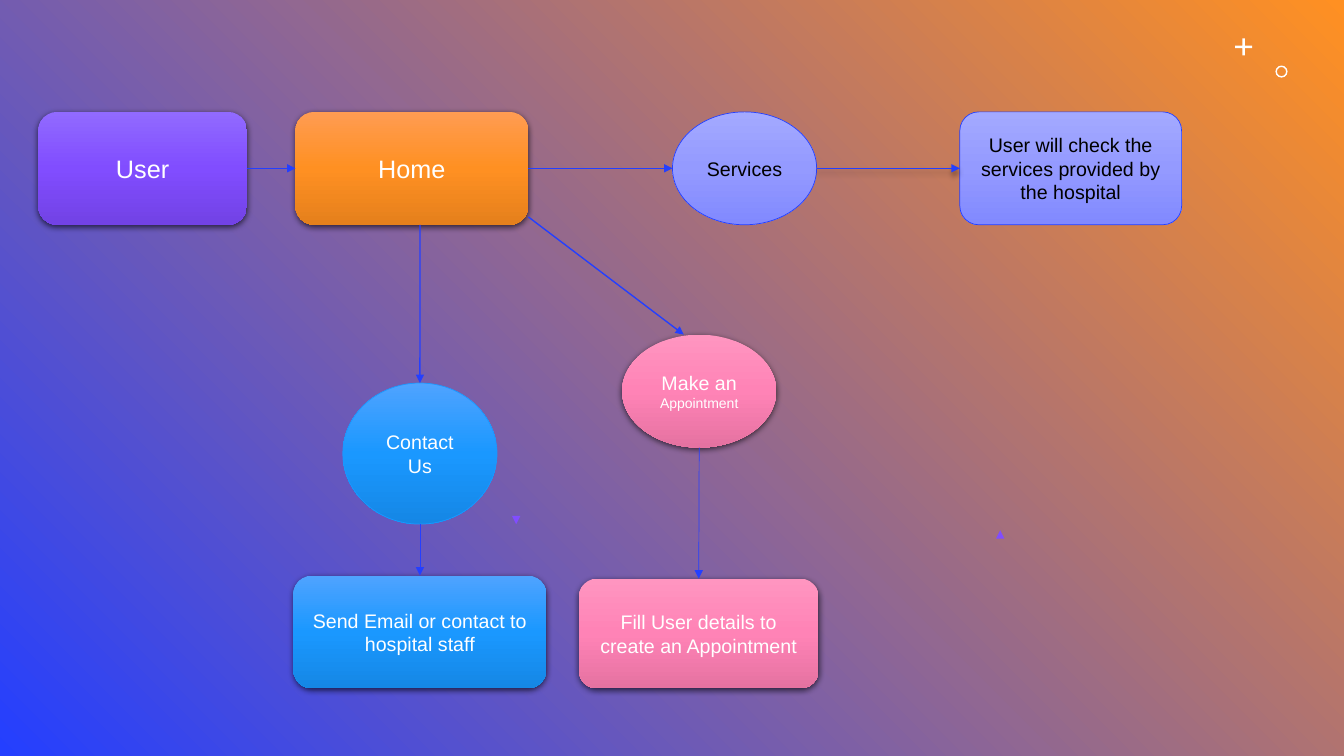
from copy import deepcopy

from lxml.etree import SubElement
from pptx import Presentation
from pptx.dml.color import RGBColor
from pptx.enum.shapes import MSO_CONNECTOR, MSO_SHAPE as Shape
from pptx.enum.text import MSO_ANCHOR, PP_ALIGN
from pptx.oxml.ns import qn
from pptx.util import Inches, Pt

FONT = "Arial"
WHITE, BLACK, BLUE, VIOLET = "FFFFFF", "000000", "243FFF", "814DFF"
BACKGROUND = (BLUE, "FF9022")
FILLS = {
    "violet": ("916AFF", VIOLET, "7242E5"),
    "orange": ("FF9C52", "FF9022", "E5801C"),
    "lilac": ("A3A9FF", "949AFF", "8189FF"),
    "blue": ("4FA3FF", "1A98FF", "1587E5"),
    "pink": ("FF95C0", "FF83B6", "E572A1"),
}
# Shadows: blur, distance (points), opacity (percent)
NODE_SHADOW = (4.5, 1.5, 63)
LINE_SHADOW = (4, 3, 40)

# name: (shape, (left, top, width, height), fill, outline or None, text colour, runs)
NODES = {
    "user": (Shape.ROUNDED_RECTANGLE, (0.38, 1.11, 2.07, 1.12), "violet", None, WHITE,
             [("User", 18)]),
    "home": (Shape.ROUNDED_RECTANGLE, (2.93, 1.11, 2.31, 1.12), "orange", None, WHITE,
             [("Home", 18)]),
    "services": (Shape.OVAL, (6.67, 1.11, 1.43, 1.12), "lilac", BLUE, BLACK,
                 [("Services", 14)]),
    "check": (Shape.ROUNDED_RECTANGLE, (9.52, 1.11, 2.2, 1.12), "lilac", BLUE, BLACK,
              [("User will check the services provided by the hospital", 14)]),
    "contact": (Shape.OVAL, (3.4, 3.8, 1.53, 1.4), "blue", "1A98FF", WHITE,
                [("Contact Us", 14)]),
    "appointment": (Shape.OVAL, (6.17, 3.32, 1.53, 1.12), "pink", None, WHITE,
                    [("Make an ", 14), ("Appointment", 10)]),
    "email": (Shape.ROUNDED_RECTANGLE, (2.91, 5.71, 2.51, 1.12), "blue", None, WHITE,
              [("Send Email or contact to hospital staff", 14)]),
    "details": (Shape.ROUNDED_RECTANGLE, (5.74, 5.74, 2.38, 1.09), "pink", None, WHITE,
                [("Fill User details to create an Appointment", 14)]),
}
LEFT, RIGHT, TOP, BOTTOM = (0, 0.5), (1, 0.5), (0.5, 0), (0.5, 1)
# (node, place on it as fractions of its size), same for the end, width, shadow
LINKS = [
    (("user", RIGHT), ("home", LEFT), 1, None),
    (("home", RIGHT), ("services", LEFT), 1, None),
    (("home", (0.535, 1)), ("contact", TOP), 1, None),
    (("home", (1, 0.93)), ("appointment", (0.4, 0)), 1, None),
    (("appointment", BOTTOM), ("details", TOP), 0.5, None),
    (("contact", BOTTOM), ("email", TOP), 0.5, None),
    (("services", RIGHT), ("check", LEFT), 0.5, LINE_SHADOW),
]
STRAY_ARROWS = [((5.12, 5.19), (5.12, 5.2)), ((9.92, 5.27), (9.92, 5.26))]
# shape, box, adjustment
ORNAMENTS = [
    (Shape.CROSS, (12.25, 0.38, 0.17, 0.17), 0.43),
    (Shape.DONUT, (12.65, 0.65, 0.12, 0.12), 0.12),
]


def rgb(value):
    return RGBColor.from_string(value)


def paint_gradient(fill, element, colors, angle):
    """Spread the colours evenly; the angle runs counter-clockwise."""
    fill.gradient()
    fill.gradient_angle = angle
    stop_list = next(element.iter(qn("a:gsLst")))
    while len(stop_list) < len(colors):
        stop_list.append(deepcopy(stop_list[0]))
    for i, (stop, color) in enumerate(zip(fill.gradient_stops, colors)):
        stop.color.rgb = rgb(color)
        stop.position = i / (len(colors) - 1)


def set_shadow(properties, shadow):
    effects = SubElement(properties, qn("a:effectLst"))
    if shadow:
        blur, distance, opacity = shadow
        outer = SubElement(effects, qn("a:outerShdw"), blurRad=str(Pt(blur)),
                           dist=str(Pt(distance)), dir="5400000", rotWithShape="0")
        color = SubElement(outer, qn("a:srgbClr"), val=BLACK)
        SubElement(color, qn("a:alpha"), val=str(opacity * 1000))


def add_node(slide, kind, box, fill, outline, text_color, runs):
    node = slide.shapes.add_shape(kind, *map(Inches, box))
    paint_gradient(node.fill, node._element.spPr, FILLS[fill], 270)
    if outline:
        node.line.color.rgb = rgb(outline)
        node.line.width = Pt(0.5)
    else:
        node.line.fill.background()
    set_shadow(node._element.spPr, None if outline else NODE_SHADOW)
    frame = node.text_frame
    frame.word_wrap = True
    frame.vertical_anchor = MSO_ANCHOR.MIDDLE
    para = frame.paragraphs[0]
    para.alignment = PP_ALIGN.CENTER
    for text, size in runs:
        span = para.add_run()
        span.text = text
        span.font.name = FONT
        span.font.size = Pt(size)
        span.font.color.rgb = rgb(text_color)


def add_arrow(slide, start, end, color, width, shadow=None):
    arrow = slide.shapes.add_connector(MSO_CONNECTOR.STRAIGHT, *map(Inches, start + end))
    arrow.line.color.rgb = rgb(color)
    arrow.line.width = Pt(width)
    SubElement(arrow.line._get_or_add_ln(), qn("a:tailEnd"), type="triangle")
    set_shadow(arrow._element.spPr, shadow)


def point_on(name, place):
    left, top, width, height = NODES[name][1]
    return left + width * place[0], top + height * place[1]


def add_ornament(slide, kind, box, adjustment):
    ornament = slide.shapes.add_shape(kind, *map(Inches, box))
    ornament.adjustments[0] = adjustment
    ornament.shadow.inherit = False
    ornament.fill.solid()
    ornament.fill.fore_color.rgb = rgb(WHITE)
    ornament.line.fill.background()


def main():
    deck = Presentation()
    deck.slide_width, deck.slide_height = Inches(13.33), Inches(7.5)
    slide = deck.slides.add_slide(deck.slide_layouts[6])
    paint_gradient(slide.background.fill, slide._element, BACKGROUND, 45)
    for ornament in ORNAMENTS:
        add_ornament(slide, *ornament)
    for node in NODES.values():
        add_node(slide, *node)
    for start, end, width, shadow in LINKS:
        add_arrow(slide, point_on(*start), point_on(*end), BLUE, width, shadow)
    for start, end in STRAY_ARROWS:
        add_arrow(slide, start, end, VIOLET, 0.5)
    deck.save("out.pptx")


if __name__ == "__main__":
    main()
